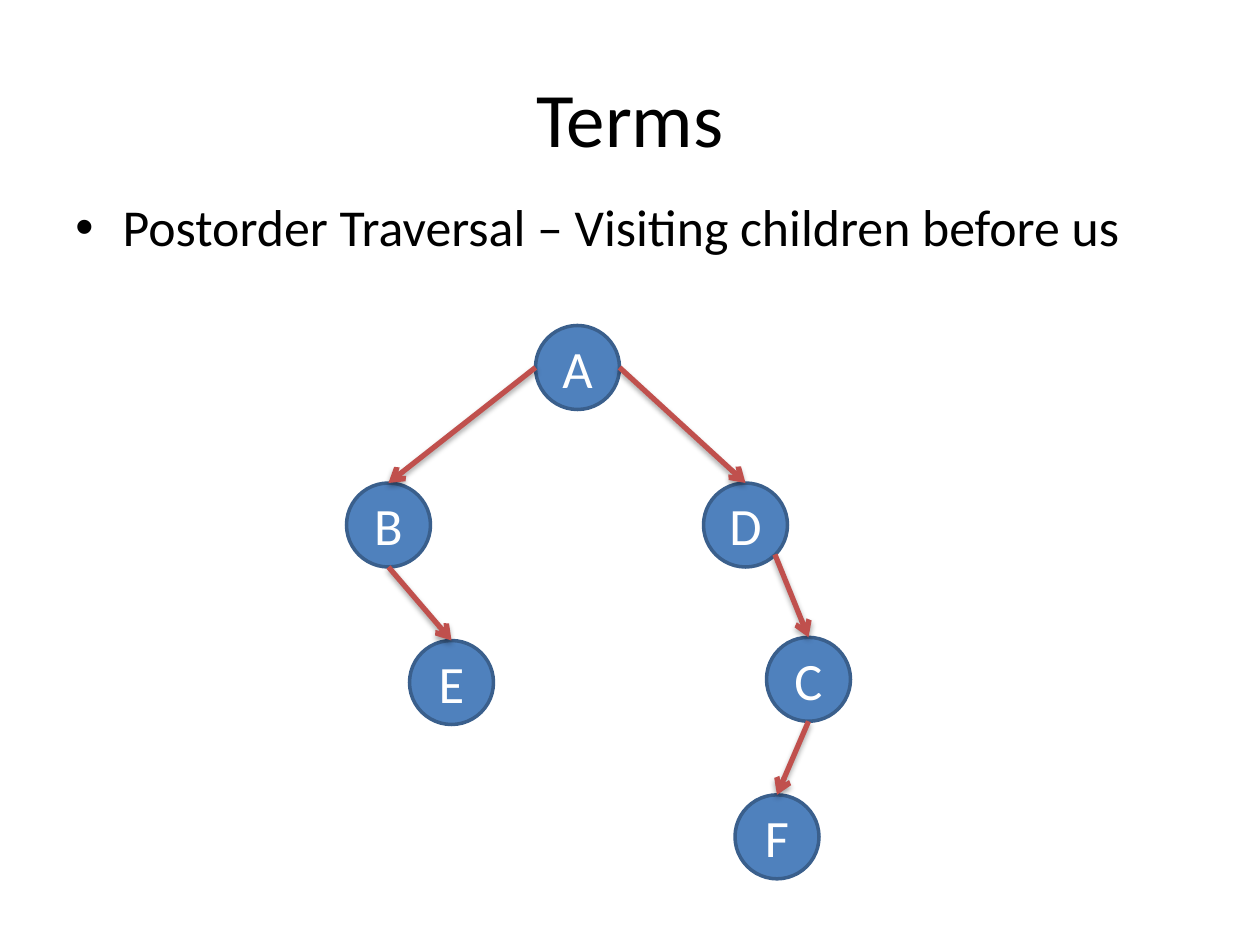
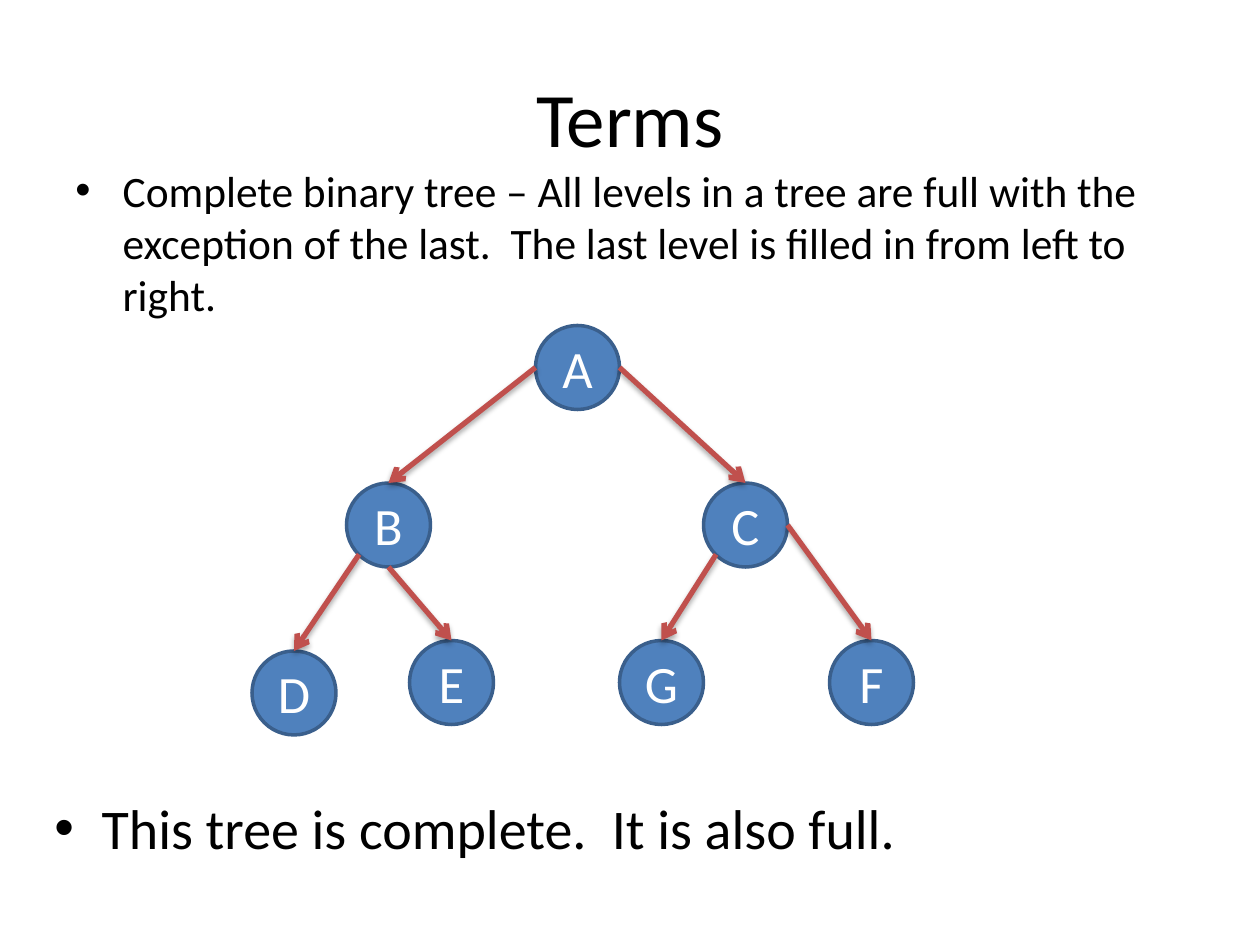
from dataclasses import dataclass

from lxml.etree import SubElement
from pptx import Presentation
from pptx.dml.color import RGBColor
from pptx.enum.shapes import MSO_CONNECTOR, MSO_SHAPE
from pptx.enum.text import MSO_ANCHOR, PP_ALIGN
from pptx.oxml.ns import qn
from pptx.util import Pt

EMU_PER_PX = 7620  # 120 px to the inch
NODE = 80
BULLET_INDENT = 45


@dataclass(frozen=True)
class Theme:
    font: str = "Calibri"
    ink: str = "000000"
    node_ink: str = "FFFFFF"
    node_fill: str = "4F81BD"
    node_line: str = "3A5F8C"
    edge: str = "C0504D"
    title_size: float = 44
    node_size: float = 30
    note_size: float = 32
    node_width: float = 2
    edge_width: float = 3


THEME = Theme()

# Where an edge leaves its parent node, from the node's top left
EXITS = {
    "left": (0, 40),
    "lower left": (12, 68),
    "bottom": (40, 80),
    "lower right": (68, 68),
    "right": (80, 40),
}

# Top left corners of the nodes, and edges as parent, exit, child
SHARED_NODES = {"A": (510, 310), "B": (330, 460), "E": (390, 610)}
SHARED_EDGES = [("A", "left", "B"), ("B", "bottom", "E")]

POSTORDER_NODES = SHARED_NODES | {"D": (670, 460), "C": (730, 607), "F": (700, 757)}
POSTORDER_EDGES = SHARED_EDGES + [
    ("A", "right", "D"), ("D", "lower right", "C"), ("C", "bottom", "F"),
]

COMPLETE_NODES = SHARED_NODES | {
    "C": (670, 460), "D": (240, 620), "G": (590, 610), "F": (790, 610),
}
COMPLETE_EDGES = SHARED_EDGES + [
    ("A", "right", "C"), ("B", "lower left", "D"),
    ("C", "lower left", "G"), ("C", "right", "F"),
]


def px(*lengths):
    return [round(length * EMU_PER_PX) for length in lengths]


def rgb(code):
    return RGBColor.from_string(code)


def write(frame, text, *, size, color=THEME.ink, align=PP_ALIGN.LEFT,
          anchor=MSO_ANCHOR.TOP, bullet=False):
    frame.word_wrap = True
    frame.vertical_anchor = anchor
    paragraph = frame.paragraphs[0]
    paragraph.alignment = align
    if bullet:
        properties = paragraph._p.get_or_add_pPr()
        indent, = px(BULLET_INDENT)
        properties.set("marL", str(indent))
        properties.set("indent", str(-indent))
        SubElement(properties, qn("a:buFont"), typeface="Arial")
        SubElement(properties, qn("a:buChar"), char="•")
    run = paragraph.add_run()
    run.text = text
    run.font.name = THEME.font
    run.font.size = Pt(size)
    run.font.color.rgb = rgb(color)


def add_text(slide, box, text, **text_format):
    write(slide.shapes.add_textbox(*px(*box)).text_frame, text, **text_format)


def add_node(slide, letter, left, top):
    node = slide.shapes.add_shape(MSO_SHAPE.OVAL, *px(left, top, NODE, NODE))
    node.shadow.inherit = False
    node.fill.solid()
    node.fill.fore_color.rgb = rgb(THEME.node_fill)
    node.line.color.rgb = rgb(THEME.node_line)
    node.line.width = Pt(THEME.node_width)
    frame = node.text_frame
    frame.margin_left = frame.margin_right = 0
    write(frame, letter, size=THEME.node_size, color=THEME.node_ink,
          align=PP_ALIGN.CENTER, anchor=MSO_ANCHOR.MIDDLE)
    return node


def add_edge(slide, start, child):
    edge = slide.shapes.add_connector(MSO_CONNECTOR.STRAIGHT, *px(*start, *start))
    edge.end_connect(child, 0)
    edge.line.color.rgb = rgb(THEME.edge)
    edge.line.width = Pt(THEME.edge_width)
    # Open arrowhead and soft shadow below
    SubElement(edge.line._get_or_add_ln(), qn("a:tailEnd"), type="arrow")
    effects = SubElement(edge._element.spPr, qn("a:effectLst"))
    shadow = SubElement(effects, qn("a:outerShdw"), blurRad="40000", dist="23000",
                        dir="5400000", rotWithShape="0")
    shade = SubElement(shadow, qn("a:srgbClr"), val=THEME.ink)
    SubElement(shade, qn("a:alpha"), val="35000")


def add_tree(slide, corners, edges):
    nodes = {letter: add_node(slide, letter, *corner)
             for letter, corner in corners.items()}
    for parent, exit_side, child in edges:
        start = [corner + offset for corner, offset
                 in zip(corners[parent], EXITS[exit_side])]
        add_edge(slide, start, nodes[child])


def add_terms_slide(deck, definition, box, size, corners, edges):
    slide = deck.slides.add_slide(deck.slide_layouts[6])
    add_text(slide, (60, 36, 1080, 150), "Terms", size=THEME.title_size,
             align=PP_ALIGN.CENTER, anchor=MSO_ANCHOR.MIDDLE)
    add_text(slide, box, definition, size=size, bullet=True)
    add_tree(slide, corners, edges)
    return slide


def main():
    deck = Presentation()
    deck.slide_width, deck.slide_height = px(1200, 900)

    # Postorder traversal
    add_terms_slide(
        deck, "Postorder Traversal – Visiting children before us",
        (60, 180, 1090, 110), 29.6, POSTORDER_NODES, POSTORDER_EDGES)

    # Complete binary tree
    complete = add_terms_slide(
        deck,
        "Complete binary tree – All levels in a tree are full with the exception "
        "of the last.  The last level is filled in from left to right.",
        (60, 150, 1090, 140), 24.8, COMPLETE_NODES, COMPLETE_EDGES)
    add_text(complete, (40, 750, 1090, 110),
             "This tree is complete.  It is also full.",
             size=THEME.note_size, bullet=True)

    deck.save("out.pptx")


if __name__ == "__main__":
    main()
